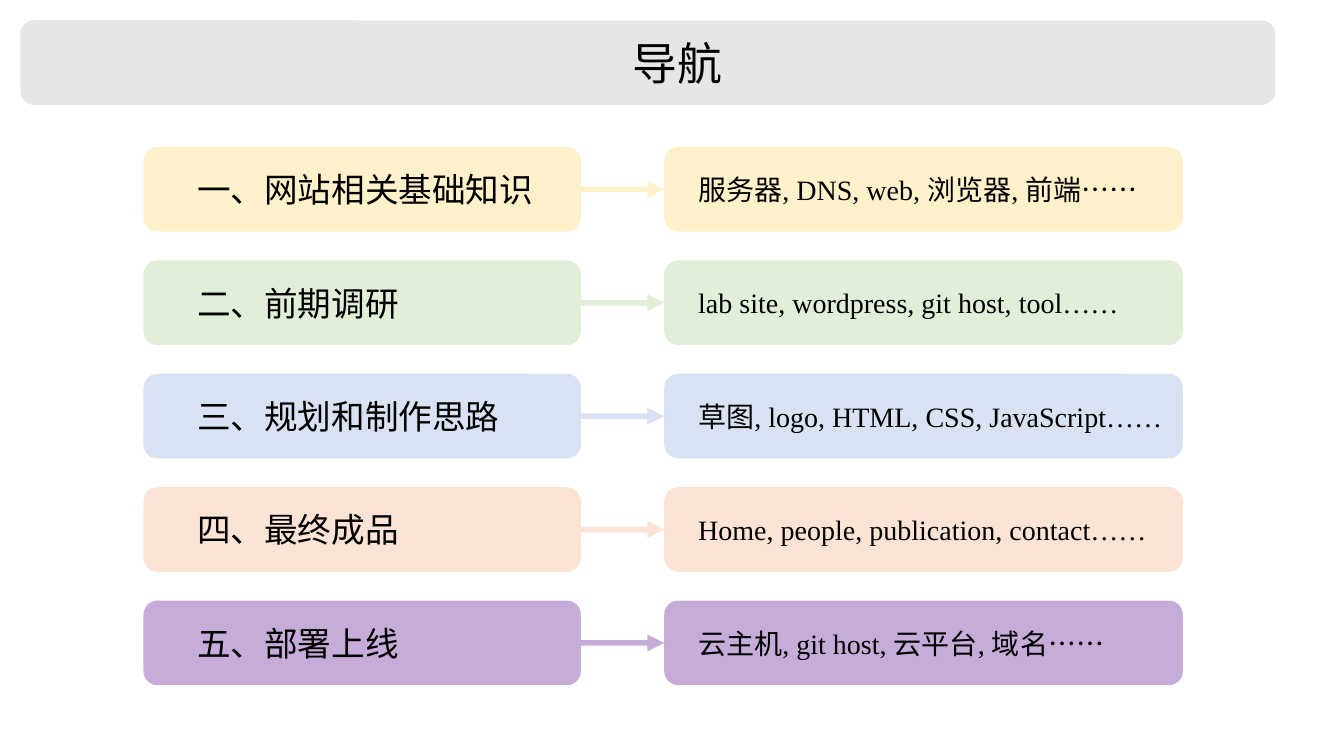
from dataclasses import dataclass
from lxml.etree import SubElement
from pptx import Presentation
from pptx.dml.color import RGBColor
from pptx.enum.shapes import MSO_CONNECTOR, MSO_SHAPE
from pptx.enum.text import MSO_ANCHOR, PP_ALIGN
from pptx.oxml.ns import qn
from pptx.util import Pt


@dataclass(frozen=True)
class Theme:
    ink: str = "000000"
    banner: tuple = ("D0CECE", 50)
    rows: tuple = (("FFE699", 50), ("C5E0B4", 50), ("B4C7E7", 50),
                   ("F8CBAD", 50), ("7030A0", 40))
    chinese: str = "Noto Sans CJK SC"
    latin: str = "Times New Roman"
    title_size: float = 32
    topic_size: float = 24
    detail_size: float = 20
    arrow_width: float = 4


@dataclass(frozen=True)
class Box:
    left: float
    top: float
    width: float
    height: float


THEME = Theme()

CHAPTERS = (
    ("一、网站相关基础知识", "服务器, DNS, web, 浏览器, 前端……"),
    ("二、前期调研", "lab site, wordpress, git host, tool……"),
    ("三、规划和制作思路", "草图, logo, HTML, CSS, JavaScript……"),
    ("四、最终成品", "Home, people, publication, contact……"),
    ("五、部署上线", "云主机, git host, 云平台, 域名……"),
)


def paint(fill, tint):
    color, opacity = tint
    fill.solid()
    fill.fore_color.rgb = RGBColor.from_string(color)
    for element in fill._xPr.iter(qn("a:srgbClr")):
        SubElement(element, qn("a:alpha"), val=str(opacity * 1000))


def write(shape, text, *, size, font, indent=0, align=PP_ALIGN.LEFT):
    frame = shape.text_frame
    frame.word_wrap = True
    frame.vertical_anchor = MSO_ANCHOR.MIDDLE
    para = frame.paragraphs[0]
    para.alignment = align
    para._p.get_or_add_pPr().set("marL", str(Pt(indent)))
    span = para.add_run()
    span.text = text
    span.font.size = Pt(size)
    span.font.name = font
    span.font.color.rgb = RGBColor.from_string(THEME.ink)
    SubElement(span._r.get_or_add_rPr(), qn("a:ea"), typeface=THEME.chinese)


def add_card(page, box, tint, text, **text_format):
    card = page.shapes.add_shape(
        MSO_SHAPE.ROUNDED_RECTANGLE,
        Pt(box.left), Pt(box.top), Pt(box.width), Pt(box.height))
    card.shadow.inherit = False
    card.line.fill.background()
    paint(card.fill, tint)
    write(card, text, **text_format)


def add_arrow(page, start, end, height, tint):
    arrow = page.shapes.add_connector(
        MSO_CONNECTOR.STRAIGHT, Pt(start), Pt(height), Pt(end), Pt(height))
    arrow.line.width = Pt(THEME.arrow_width)
    paint(arrow.line.fill, tint)
    SubElement(arrow.line._get_or_add_ln(), qn("a:tailEnd"), type="triangle")
    SubElement(arrow._element.spPr, qn("a:effectLst"))


def add_banner(page, box):
    add_card(page, box, THEME.banner, "导航", size=THEME.title_size,
             font=THEME.chinese, indent=42.5, align=PP_ALIGN.CENTER)


def add_chapter(page, box, tint, topic, detail):
    topic_width, gap = 312.5, 59.5
    topic_end = box.left + topic_width
    detail_start = topic_end + gap
    add_card(page, Box(box.left, box.top, topic_width, box.height), tint, topic,
             size=THEME.topic_size, font=THEME.chinese, indent=28.35)
    add_card(page, Box(detail_start, box.top, box.width - topic_width - gap, box.height),
             tint, detail, size=THEME.detail_size, font=THEME.latin, indent=14.2)
    add_arrow(page, topic_end, detail_start, box.top + box.height / 2, tint)


def add_chapters(page, box, row_height):
    pitch = (box.height - row_height) / (len(CHAPTERS) - 1)
    for index, ((topic, detail), tint) in enumerate(zip(CHAPTERS, THEME.rows)):
        row = Box(box.left, box.top + index * pitch, box.width, row_height)
        add_chapter(page, row, tint, topic, detail)


def main():
    deck = Presentation()
    deck.slide_width, deck.slide_height = Pt(960), Pt(540)
    page = deck.slides.add_slide(deck.slide_layouts[6])
    add_banner(page, Box(14.5, 14.5, 896.5, 60.5))
    add_chapters(page, Box(102.5, 105, 742.5, 384.5), 60.5)
    deck.save("out.pptx")


if __name__ == "__main__":
    main()
